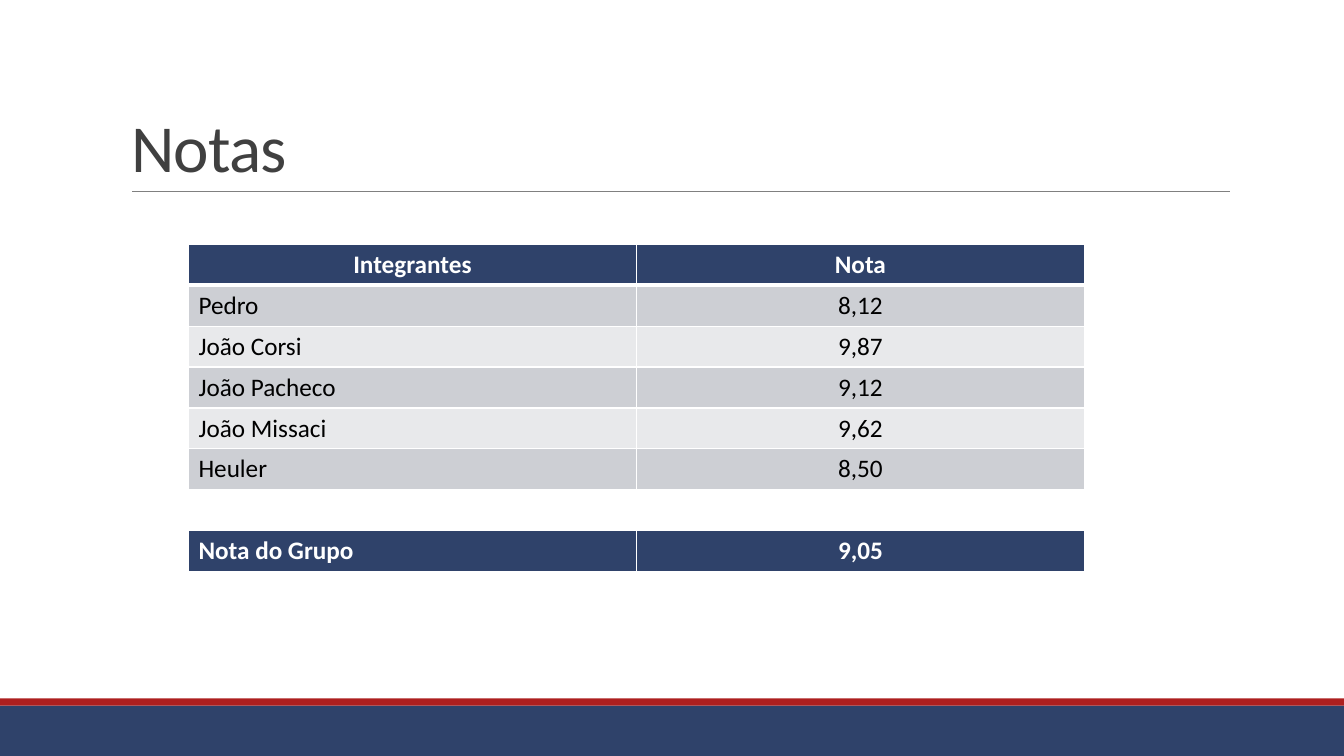
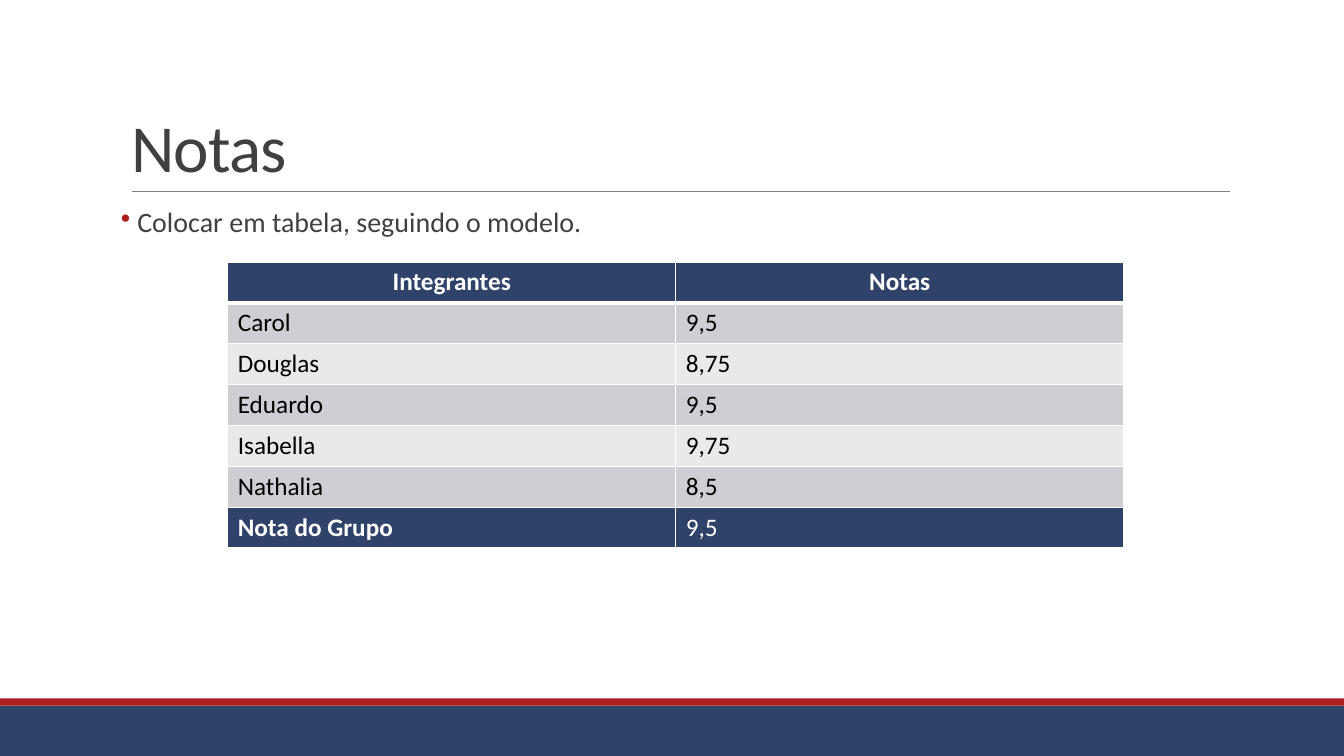
from lxml.etree import SubElement
from pptx import Presentation
from pptx.dml.color import RGBColor
from pptx.enum.shapes import MSO_CONNECTOR, MSO_SHAPE
from pptx.enum.text import MSO_ANCHOR, MSO_AUTO_SIZE, PP_ALIGN
from pptx.oxml.ns import qn
from pptx.util import Cm, Pt

NAVY = RGBColor(0x2F, 0x42, 0x6A)
RED = RGBColor(0xAD, 0x1F, 0x1F)
GRAY = RGBColor(0x80, 0x80, 0x80)
DARK = RGBColor(0x40, 0x40, 0x40)
BLACK = RGBColor(0, 0, 0)
WHITE = RGBColor(0xFF, 0xFF, 0xFF)
STRIPES = (RGBColor(0xCD, 0xCF, 0xD4), RGBColor(0xE8, 0xE9, 0xEB))

FONT = "Calibri"
SLIDE_WIDTH, SLIDE_HEIGHT = Cm(33.87), Cm(19.05)
CONTENT_LEFT, CONTENT_WIDTH = Cm(3.05), Cm(27.94)
COLUMN_WIDTH, ROW_HEIGHT = Cm(11.29), Cm(1.03)
THIN, THICK = Pt(1), Pt(3)

HEADING = "Integrantes"
TOTAL = "Nota do Grupo"


def style_font(font, size, color, bold=False):
    font.name = FONT
    font.size = Pt(size)
    font.color.rgb = color
    font.bold = bold


def add_band(slide, top, height, color):
    band = slide.shapes.add_shape(MSO_SHAPE.RECTANGLE, 0, top, SLIDE_WIDTH, height)
    band.shadow.inherit = False
    band.fill.solid()
    band.fill.fore_color.rgb = color
    band.line.fill.background()


def add_title_rule(slide):
    rule = slide.shapes.add_connector(
        MSO_CONNECTOR.STRAIGHT, Cm(3.33), Cm(4.83), Cm(31), Cm(4.83))
    rule.line.color.rgb = GRAY
    rule.line.width = Pt(0.5)
    SubElement(rule._element.spPr, qn("a:effectLst"))


def set_title(slide, text):
    title = slide.shapes.title
    title.left, title.top = CONTENT_LEFT, Cm(0.79)
    title.width, title.height = CONTENT_WIDTH, Cm(4.03)
    frame = title.text_frame
    frame.text = text
    frame.auto_size = MSO_AUTO_SIZE.NONE
    frame.vertical_anchor = MSO_ANCHOR.BOTTOM
    paragraph = frame.paragraphs[0]
    paragraph.alignment = PP_ALIGN.LEFT
    paragraph.line_spacing = 0.85
    run = paragraph.runs[0]
    style_font(run.font, 48, DARK)
    run._r.get_or_add_rPr().set("spc", "-50")


def add_slide(deck, title):
    slide = deck.slides.add_slide(deck.slide_layouts[5])
    add_band(slide, Cm(17.78), Cm(1.27), NAVY)
    add_band(slide, Cm(17.6), Cm(0.18), RED)
    add_title_rule(slide)
    set_title(slide, title)
    return slide


def add_bullet(slide, text):
    box = slide.shapes.add_textbox(CONTENT_LEFT, Cm(5.13), CONTENT_WIDTH, Cm(1.1))
    frame = box.text_frame
    frame.word_wrap = True
    frame.margin_left = frame.margin_right = 0
    frame.text = text
    paragraph = frame.paragraphs[0]
    paragraph.line_spacing = 0.9
    properties = paragraph._p.get_or_add_pPr()
    indent = Cm(0.41)
    properties.set("marL", str(indent))
    properties.set("indent", str(-indent))
    bullet_color = SubElement(properties, qn("a:buClr"))
    SubElement(bullet_color, qn("a:srgbClr")).set("val", str(RED))
    SubElement(properties, qn("a:buChar")).set("char", "•")
    style_font(paragraph.runs[0].font, 20, DARK)


def set_borders(cell, top, bottom):
    properties = cell._tc.get_or_add_tcPr()
    for side, width in (("L", THIN), ("R", THIN), ("T", top), ("B", bottom)):
        border = SubElement(properties, qn(f"a:ln{side}"))
        border.set("w", str(width))
        fill = SubElement(border, qn("a:solidFill"))
        SubElement(fill, qn("a:srgbClr")).set("val", str(WHITE))


def format_cell(cell, text, fill, color, bold, alignment):
    cell.fill.solid()
    cell.fill.fore_color.rgb = fill
    cell.text = text
    paragraph = cell.text_frame.paragraphs[0]
    paragraph.alignment = alignment
    style_font(paragraph.runs[0].font, 18, color, bold)


def add_grades(slide, left, top, rows, grade_alignment, bold_total=True):
    table = slide.shapes.add_table(
        len(rows), 2, left, top, COLUMN_WIDTH * 2, ROW_HEIGHT * len(rows)).table
    table.horz_banding = False
    for column in table.columns:
        column.width = COLUMN_WIDTH
    has_header = rows[0][0] == HEADING
    for index, texts in enumerate(rows):
        is_header = texts[0] == HEADING
        is_total = texts[0] == TOTAL
        emphasized = is_header or is_total
        fill = NAVY if emphasized else STRIPES[(index - 1) % 2]
        color = WHITE if emphasized else BLACK
        table.rows[index].height = ROW_HEIGHT
        for column, text in enumerate(texts):
            cell = table.cell(index, column)
            set_borders(cell,
                        THICK if has_header and index == 1 else THIN,
                        THICK if is_header else THIN)
            bold = is_header or is_total and (column == 0 or bold_total)
            if is_header:
                alignment = PP_ALIGN.CENTER
            else:
                alignment = grade_alignment if column else PP_ALIGN.LEFT
            format_cell(cell, text, fill, color, bold, alignment)


def main():
    deck = Presentation()
    deck.slide_width, deck.slide_height = SLIDE_WIDTH, SLIDE_HEIGHT

    separate_total = add_slide(deck, "Notas")
    add_grades(separate_total, Cm(4.75), Cm(6.16), [
        (HEADING, "Nota"),
        ("Pedro", "8,12"),
        ("João Corsi", "9,87"),
        ("João Pacheco", "9,12"),
        ("João Missaci", "9,62"),
        ("Heuler", "8,50"),
    ], PP_ALIGN.CENTER)
    add_grades(separate_total, Cm(4.75), Cm(13.37), [(TOTAL, "9,05")], PP_ALIGN.CENTER)

    included_total = add_slide(deck, "Notas")
    add_bullet(included_total, "Colocar em tabela, seguindo o modelo.")
    add_grades(included_total, Cm(5.74), Cm(6.6), [
        (HEADING, "Notas"),
        ("Carol", "9,5"),
        ("Douglas", "8,75"),
        ("Eduardo", "9,5"),
        ("Isabella", "9,75"),
        ("Nathalia", "8,5"),
        (TOTAL, "9,5"),
    ], PP_ALIGN.LEFT, bold_total=False)

    deck.save("out.pptx")


if __name__ == "__main__":
    main()
